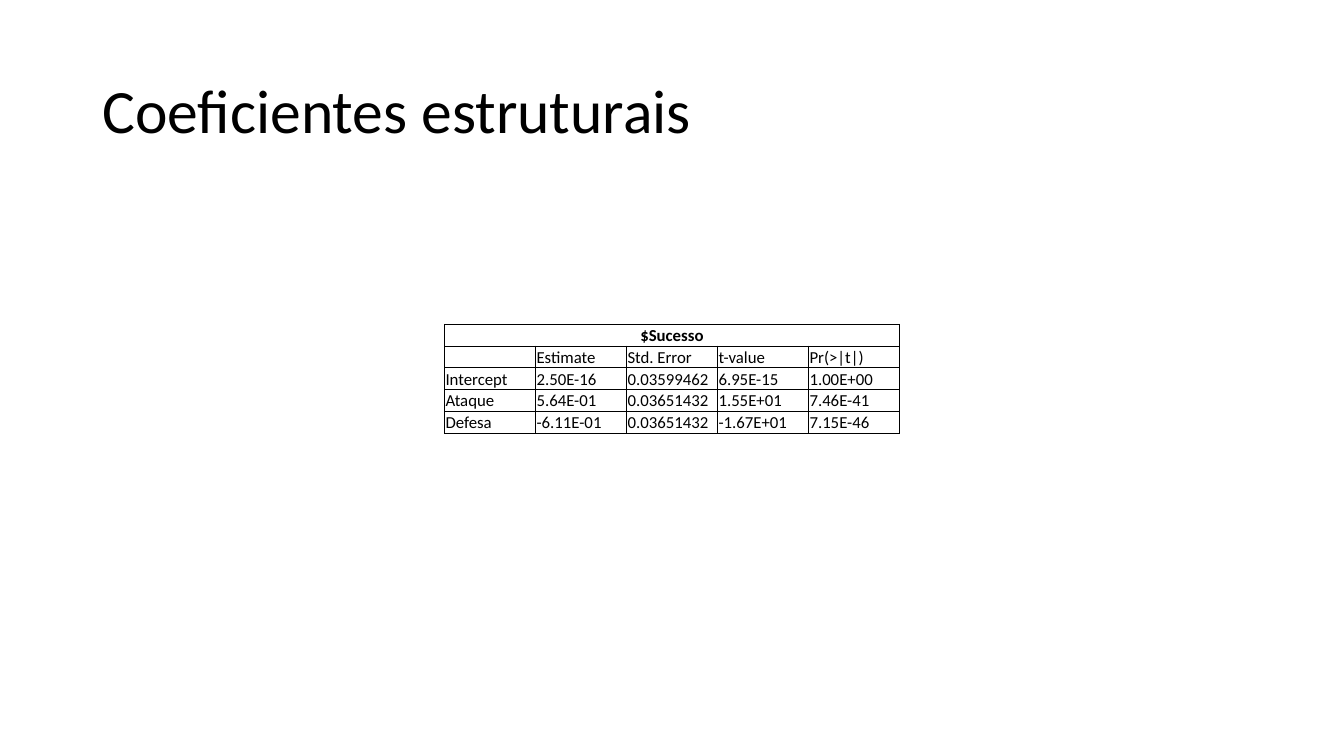
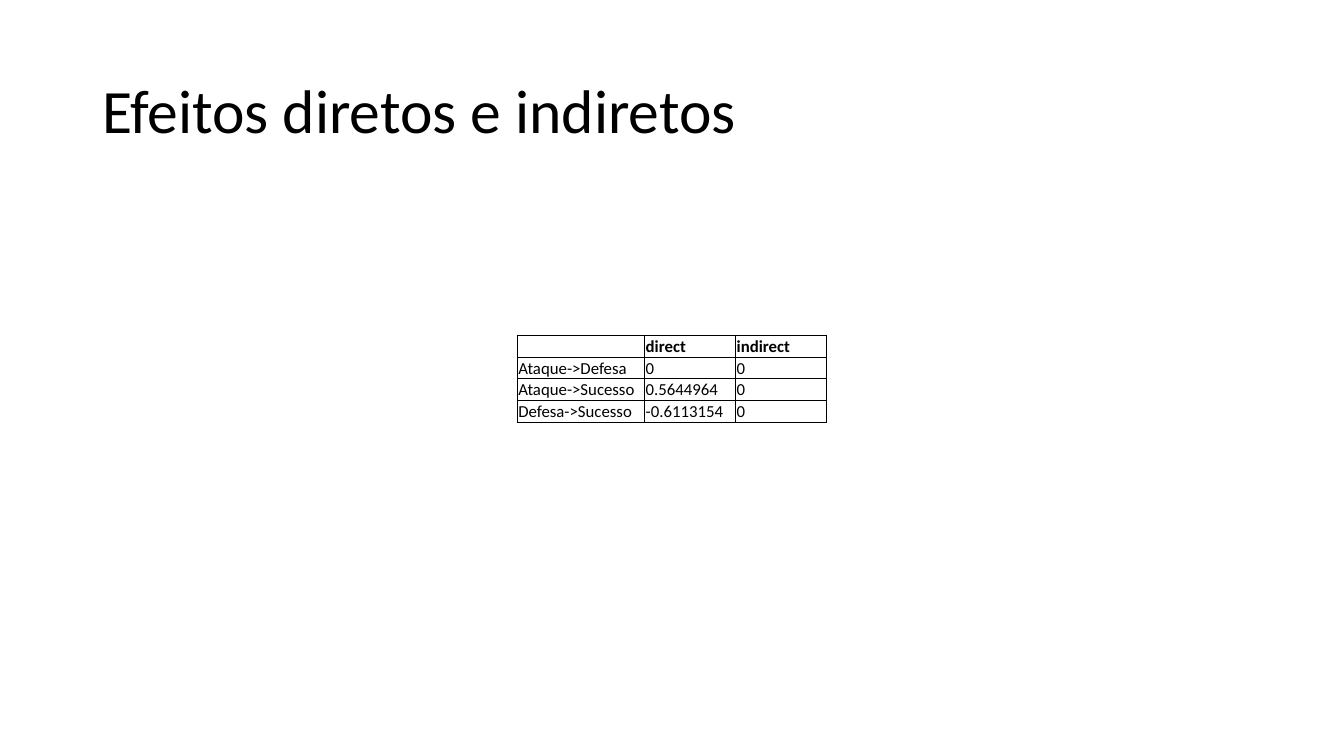
"""Build two slides, each with a title and a centred table of path results."""
from lxml import etree
from pptx import Presentation
from pptx.dml.color import RGBColor
from pptx.enum.text import MSO_ANCHOR, PP_ALIGN
from pptx.oxml.ns import qn
from pptx.util import Pt

MIDDLE, BOTTOM = MSO_ANCHOR.MIDDLE, MSO_ANCHOR.BOTTOM
LEFT, CENTER = PP_ALIGN.LEFT, PP_ALIGN.CENTER
BLANK = 6
WIDTH, HEIGHT = 960, 540
INK = "000000"
ROW = 15.6
CELL = {"vertical_anchor": BOTTOM, "margin_left": Pt(0.75), "margin_right": Pt(0.75),
        "margin_top": Pt(0.75), "margin_bottom": Pt(0)}


def color(code):
    return RGBColor.from_string(code)


def apply(target, values):
    for name, value in values.items():
        setattr(target, name, value)


class Deck:
    def __init__(self):
        self.file = Presentation()
        apply(self.file, {"slide_width": Pt(WIDTH), "slide_height": Pt(HEIGHT)})
        self.slide = None

    def text(self, para, words, size, bold=False, align=LEFT):
        para.alignment = align
        if not words:
            etree.SubElement(para._p, qn("a:endParaRPr"), sz=str(size * 100))
            return
        run = para.add_run()
        run.text = words
        apply(run.font, {"name": "Calibri", "size": Pt(size), "bold": bold})
        run.font.color.rgb = color(INK)

    def page(self, title):
        self.slide = self.file.slides.add_slide(self.file.slide_layouts[BLANK])
        box = self.slide.shapes.add_textbox(Pt(66), Pt(28.75), Pt(828), Pt(104.4))
        apply(box.text_frame, {"word_wrap": True, "vertical_anchor": MIDDLE})
        para = box.text_frame.paragraphs[0]
        para.line_spacing = 0.9
        self.text(para, title, 44)

    def border(self, cell):
        props = cell._tc.get_or_add_tcPr()
        for side in ("lnL", "lnR", "lnT", "lnB"):
            line = etree.SubElement(props, qn("a:" + side), w=str(Pt(0.5)))
            fill = etree.SubElement(line, qn("a:solidFill"))
            etree.SubElement(fill, qn("a:srgbClr"), val=INK)

    def table(self, widths, rows, mid=270.5):
        wide, high = sum(widths), ROW * len(rows)
        grid = self.slide.shapes.add_table(
            len(rows), len(widths), Pt((WIDTH - wide) / 2), Pt(mid - high / 2),
            Pt(wide), Pt(high)).table
        apply(grid, {"first_row": False, "horz_banding": False})
        for column, width in zip(grid.columns, widths):
            column.width = Pt(width)
        for i, row in enumerate(rows):
            grid.rows[i].height = Pt(ROW)
            span = len(row) == 1
            for j in range(len(widths)):
                cell = grid.cell(i, j)
                apply(cell, CELL)
                self.border(cell)
                cell.fill.background()
                words = row[j] if j < len(row) else ""
                self.text(cell.text_frame.paragraphs[0], words, 12,
                          i == 0, CENTER if span else LEFT)
            if span:
                grid.cell(i, 0).merge(grid.cell(i, len(widths) - 1))


def main():
    deck = Deck()
    deck.page("Coeficientes estruturais")
    deck.table([65] * 5, [
        ["$Sucesso"],
        ["", "Estimate", "Std. Error", "t-value", "Pr(>|t|)"],
        ["Intercept", "2.50E-16", "0.03599462", "6.95E-15", "1.00E+00"],
        ["Ataque", "5.64E-01", "0.03651432", "1.55E+01", "7.46E-41"],
        ["Defesa", "-6.11E-01", "0.03651432", "-1.67E+01", "7.15E-46"],
    ])
    deck.page("Efeitos diretos e indiretos")
    deck.table([91, 65, 65], [
        ["", "direct", "indirect"],
        ["Ataque->Defesa", "0", "0"],
        ["Ataque->Sucesso", "0.5644964", "0"],
        ["Defesa->Sucesso", "-0.6113154", "0"],
    ])
    deck.file.save("out.pptx")


if __name__ == "__main__":
    main()
